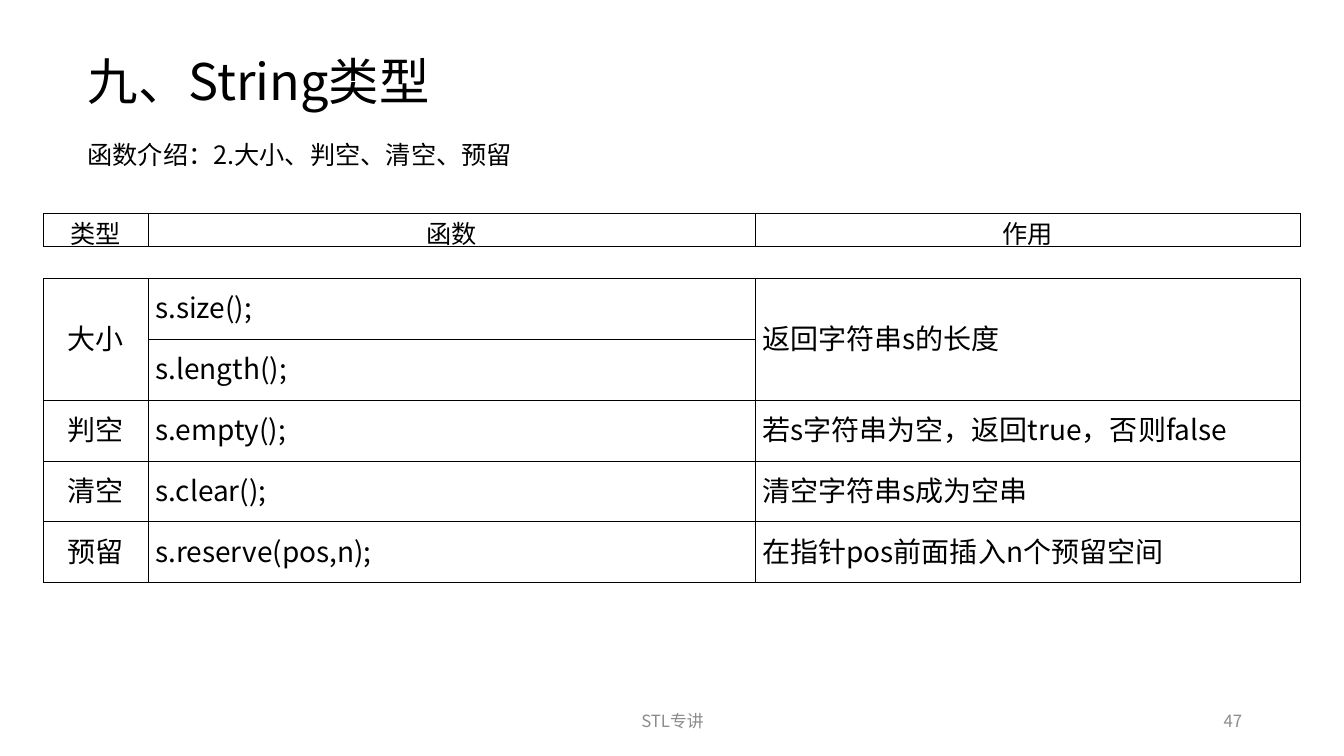
from lxml import etree
from pptx import Presentation
from pptx.dml.color import RGBColor
from pptx.enum.text import MSO_ANCHOR as ANCHOR, MSO_AUTO_SIZE as AUTO, PP_ALIGN as ALIGN
from pptx.oxml.ns import qn
from pptx.util import Inches, Pt

FONT = "Noto Sans CJK SC"
BLACK = RGBColor(0, 0, 0)
GRAY = RGBColor(0x8C, 0x8C, 0x8C)
COL_WIDTHS = [1.04, 6.02, 5.41]


def write(tf, text, size, color=BLACK, align=ALIGN.LEFT):
    p = tf.paragraphs[0]
    p.alignment = align
    r = p.add_run()
    r.text = text
    for name, value in {"name": FONT, "size": Pt(size), "bold": False}.items():
        setattr(r.font, name, value)
    r.font.color.rgb = color
    etree.SubElement(r.font._element, qn("a:ea"), typeface=FONT)


def add_grid(top, row_height, rows, size, bottom_margin, centered):
    """Add a black-ruled table; columns listed in centered are centred."""
    table = slide.shapes.add_table(
        len(rows), len(COL_WIDTHS), Inches(0.43), Inches(top),
        Inches(sum(COL_WIDTHS)), Inches(row_height * len(rows))).table
    table.first_row = table.horz_banding = False
    for column, width in zip(table.columns, COL_WIDTHS):
        column.width = Inches(width)
    for i, row in enumerate(rows):
        table.rows[i].height = Inches(row_height)
        for j, text in enumerate(row):
            cell = table.cell(i, j)
            left = 0.01 if j in centered else 0.07
            margins = {"left": left, "right": 0.01, "top": 0.01, "bottom": bottom_margin}
            for side, margin in margins.items():
                setattr(cell, f"margin_{side}", Inches(margin))
            cell.vertical_anchor = ANCHOR.MIDDLE
            tcPr = cell._tc.get_or_add_tcPr()
            for side in ("lnL", "lnR", "lnT", "lnB"):
                ln = etree.SubElement(tcPr, qn(f"a:{side}"), w=str(Pt(0.5)))
                line_fill = etree.SubElement(ln, qn("a:solidFill"))
                etree.SubElement(line_fill, qn("a:srgbClr"), val=str(BLACK))
            cell.fill.background()
            if text:
                align = ALIGN.CENTER if j in centered else ALIGN.LEFT
                write(cell.text_frame, text, size, align=align)
    return table


prs = Presentation()
prs.slide_width, prs.slide_height = Inches(13.33), Inches(7.5)
slide = prs.slides.add_slide(prs.slide_layouts[5])

# Title
title = slide.shapes.title
title.left, title.top, title.width, title.height = map(Inches, (0.77, 0.45, 7.34, 0.71))
tf = title.text_frame
tf.word_wrap = True
tf.auto_size = AUTO.NONE
tf.vertical_anchor = ANCHOR.TOP
write(tf, "九、String类型", 36)

# Subtitle, footer and slide number
captions = [
    ((0.77, 1.33, 5.4, 0.4), "函数介绍：2.大小、判空、清空、预留", 18, BLACK, ALIGN.LEFT, ANCHOR.TOP),
    ((4.42, 6.95, 4.5, 0.4), "STL专讲", 12, GRAY, ALIGN.CENTER, ANCHOR.MIDDLE),
    ((9.42, 6.95, 3, 0.4), "47", 12, GRAY, ALIGN.RIGHT, ANCHOR.MIDDLE),
]
for box, text, size, color, align, anchor in captions:
    tf = slide.shapes.add_textbox(*map(Inches, box)).text_frame
    tf.word_wrap = True
    tf.vertical_anchor = anchor
    write(tf, text, size, color, align)

# Column headings and function table
add_grid(2.12, 0.32, [("类型", "函数", "作用")], 18, 0, centered=(0, 1, 2))
functions = [
    ("大小", "s.size();", "返回字符串s的长度"),
    ("", "s.length();", ""),
    ("判空", "s.empty();", "若s字符串为空，返回true，否则false"),
    ("清空", "s.clear();", "清空字符串s成为空串"),
    ("预留", "s.reserve(pos,n);", "在指针pos前面插入n个预留空间"),
]
table = add_grid(2.76, 3.02 / len(functions), functions, 20, 0.05, centered=(0,))
for j in (0, 2):
    table.cell(0, j).merge(table.cell(1, j))

prs.save("out.pptx")
